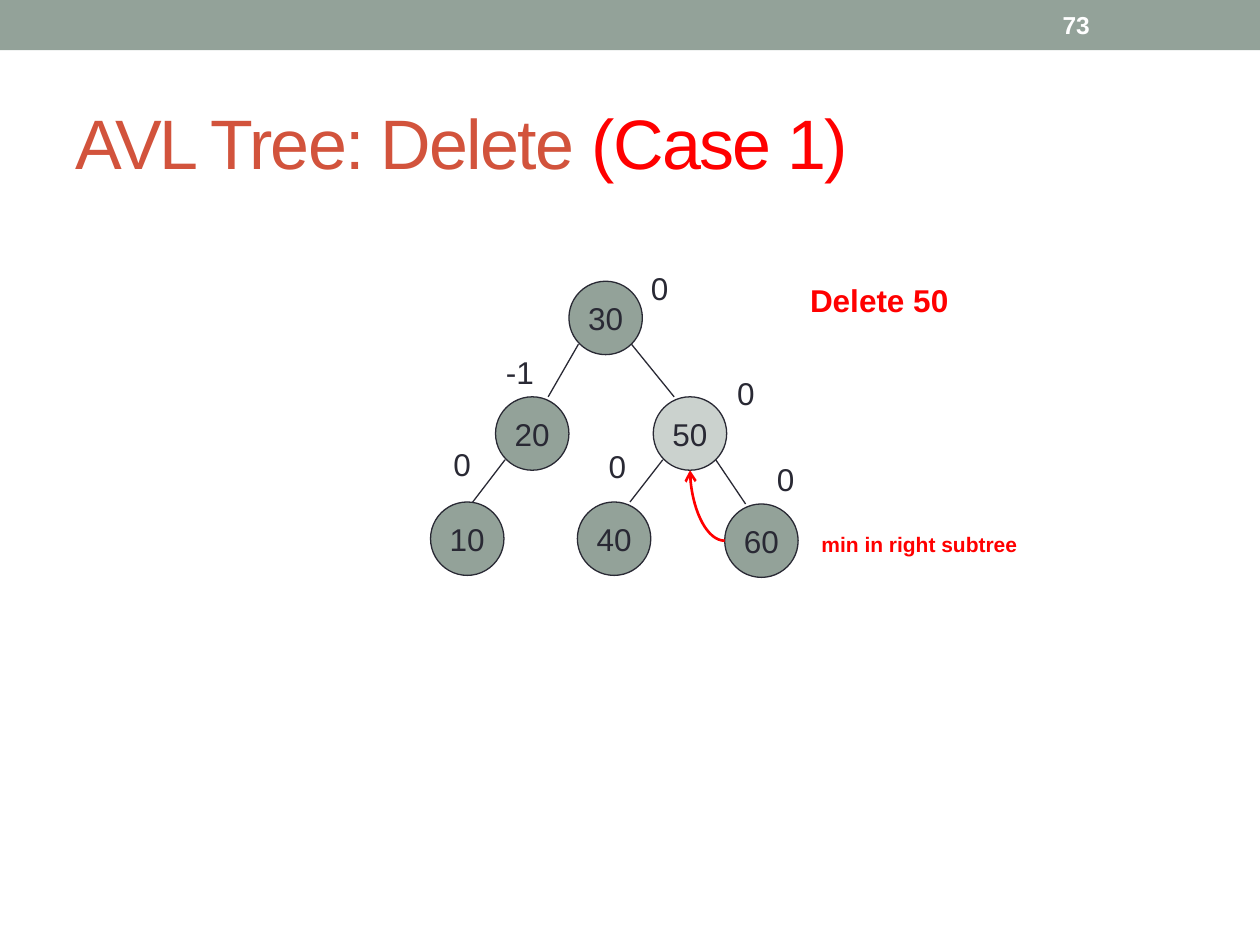
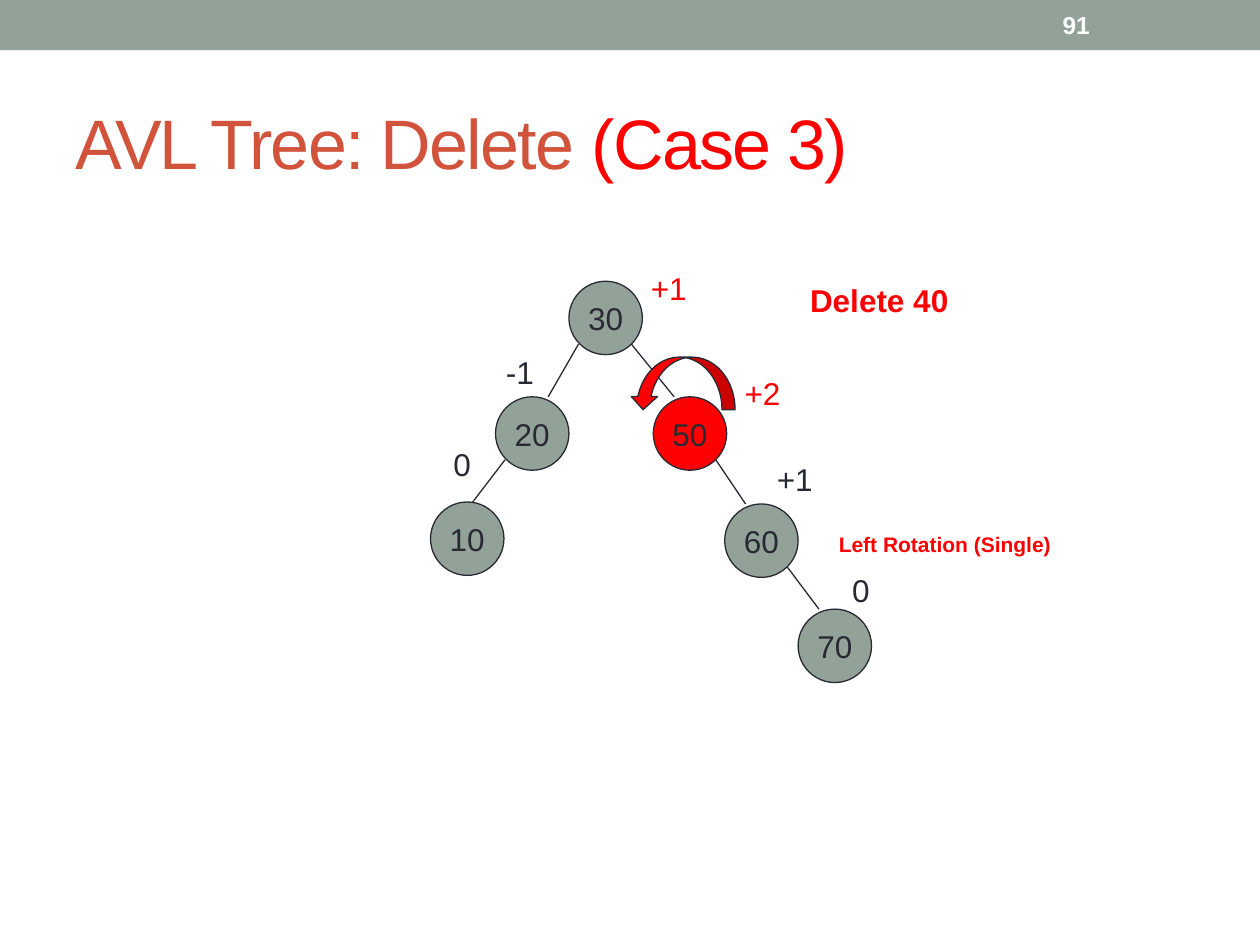
import pptx
import pptx.util
import pptx.dml.color
import pptx.enum.shapes
import pptx.enum.text
import pptx.oxml.ns
from lxml import etree

Cm = pptx.util.Cm
Pt = pptx.util.Pt
SHAPE = pptx.enum.shapes.MSO_SHAPE
CONNECTOR = pptx.enum.shapes.MSO_CONNECTOR
ANCHOR = pptx.enum.text.MSO_ANCHOR
qn = pptx.oxml.ns.qn

COLORS = {"sage": "93A299", "ink": "292934", "title": "D2533C",
          "red": "FF0000", "white": "FFFFFF"}
FONT = "Arial"

# Tree layout in cm: top left corners of nodes and of their balance labels
NODE_SIZE = 1.48
NODES = {30: (11.47, 5.67), 20: (9.99, 8.0), 50: (13.17, 8.0),
         10: (8.68, 10.12), 40: (11.64, 10.12), 60: (14.61, 10.16),
         70: (16.09, 12.28)}
LABELS = {30: (12.87, 5.29), 20: (9.95, 6.99), 50: (14.61, 7.41),
          10: (8.89, 8.85), 40: (12.02, 8.89), 60: (15.41, 9.14),
          70: (16.93, 11.39)}
LABEL_WIDTHS = {"0": 0.86, "-1": 1.09, "+1": 1.42, "+2": 1.42}
PARENTS = {20: 30, 50: 30, 10: 20, 40: 50, 60: 50, 70: 60}
EDGE_DROP = 1.27


def rgb(name):
    return pptx.dml.color.RGBColor.from_string(COLORS[name])


class Deck:
    """Holds the style and the slide being drawn."""

    def __init__(self):
        self.prs = pptx.Presentation()
        self.prs.slide_width, self.prs.slide_height = Cm(25.4), Cm(19.05)
        self.slide = None

    def new_slide(self, number, case):
        self.slide = self.prs.slides.add_slide(self.prs.slide_layouts[6])
        self.shape(SHAPE.RECTANGLE, 0, 0, 25.4, 1.01, "sage", line=None)
        self.title("AVL Tree: Delete ", f"({case})")
        self.text(str(number), 21.17, 0.05, 2.96, 0.91, 14, "white",
                  bold=True, anchor=ANCHOR.MIDDLE)

    def font(self, p, size, color=None, bold=False):
        p.font.name, p.font.size, p.font.bold = FONT, Pt(size), bold
        if color:
            p.font.color.rgb = rgb(color)

    def title(self, topic, case):
        sp = self.slide.shapes.add_textbox(Cm(1.27), Cm(1.48), Cm(22.86), Cm(2.75))
        tf = sp.text_frame
        tf.word_wrap, tf.vertical_anchor = True, ANCHOR.MIDDLE
        p = tf.paragraphs[0]
        self.font(p, 40)
        for part, color in ((topic, "title"), (case, "red")):
            r = p.add_run()
            r.text = part
            r.font.color.rgb = rgb(color)
            r.font._element.set("spc", "-100")

    def text(self, text, x, y, w, h, size, color, bold=False, wrap=True,
             anchor=ANCHOR.TOP):
        sp = self.slide.shapes.add_textbox(Cm(x), Cm(y), Cm(w), Cm(h))
        tf = sp.text_frame
        tf.word_wrap, tf.vertical_anchor = wrap, anchor
        if anchor == ANCHOR.TOP:
            tf.auto_size = pptx.enum.text.MSO_AUTO_SIZE.SHAPE_TO_FIT_TEXT
        p = tf.paragraphs[0]
        p.text = text
        self.font(p, size, color, bold)

    def shape(self, kind, x, y, w, h, fill, line="ink"):
        sp = self.slide.shapes.add_shape(kind, Cm(x), Cm(y), Cm(w), Cm(h))
        sp.shadow.inherit = False
        sp.fill.solid()
        sp.fill.fore_color.rgb = rgb(fill)
        if line:
            sp.line.color.rgb, sp.line.width = rgb(line), Pt(0.75)
        else:
            sp.line.fill.background()
        return sp

    def node(self, key, fill="sage", alpha=None):
        sp = self.shape(SHAPE.OVAL, *NODES[key], NODE_SIZE, NODE_SIZE, fill)
        if alpha:
            color = sp._element.spPr.find(qn("a:solidFill"))[0]
            etree.SubElement(color, qn("a:alpha"), val=str(alpha * 1000))
        tf = sp.text_frame
        tf.word_wrap, tf.vertical_anchor = False, ANCHOR.MIDDLE
        p = tf.paragraphs[0]
        p.text, p.alignment = str(key), pptx.enum.text.PP_ALIGN.CENTER
        self.font(p, 18, "ink")
        return sp

    def balance(self, key, text, color="ink", shift=0):
        x, y = LABELS[key]
        self.text(text, x + shift, y, LABEL_WIDTHS[text], 1.02, 18, color, wrap=False)

    def line(self, x1, y1, x2, y2, color="ink", width=0.75, kind=CONNECTOR.STRAIGHT):
        cxn = self.slide.shapes.add_connector(kind, Cm(x1), Cm(y1), Cm(x2), Cm(y2))
        cxn.line.color.rgb, cxn.line.width = rgb(color), Pt(width)
        etree.SubElement(cxn._element.spPr, qn("a:effectLst"))
        return cxn

    def edge(self, parent, child):
        (px, py), (cx, cy) = NODES[parent], NODES[child]
        if cx < px:
            start, end = 0.19, 0.85 if child == 10 else 1.06
        else:
            start, end = 1.26, 0.42
        self.line(px + start, py + EDGE_DROP, cx + end, cy)

    def replace_arrow(self, source, target, shapes):
        """Curved arrow from the left of source up to the bottom of target."""
        (sx, sy), (tx, ty) = NODES[source], NODES[target]
        half = NODE_SIZE / 2
        cxn = self.line(tx + half, ty + NODE_SIZE, sx, sy + half, "red", 1.5,
                        CONNECTOR.CURVE)
        spPr = cxn._element.spPr
        spPr.find(qn("a:xfrm")).set("rot", "10800000")
        spPr.find(qn("a:prstGeom")).set("prst", "curvedConnector2")
        etree.SubElement(spPr.find(qn("a:ln")), qn("a:tailEnd"), type="arrow")
        # Glue the ends: site 2 is the left of an ellipse, site 4 its bottom
        glue = next(cxn._element.iter(qn("p:cNvCxnSpPr")))
        for tag, key, site in (("a:stCxn", source, "2"), ("a:endCxn", target, "4")):
            etree.SubElement(glue, qn(tag), id=str(shapes[key].shape_id), idx=site)

    def rotation_arrow(self, x, y, w, h):
        sp = self.shape(SHAPE.CURVED_DOWN_ARROW, x, y, w, h, "red")
        sp._element.spPr.find(qn("a:xfrm")).set("flipH", "1")

    def tree(self, balances, marked):
        """Draw nodes, edges and balances; marked maps keys to node styles."""
        shapes = {key: self.node(key, **marked.get(key, {})) for key in balances}
        for child, parent in PARENTS.items():
            if child in balances:
                self.edge(parent, child)
        for key, label in balances.items():
            self.balance(key, *label)
        return shapes

    def action(self, text):
        self.text(text, 16.08, 5.54, 3.5, 1.02, 18, "red", bold=True, wrap=False)

    def remark(self, text, x, w):
        self.text(text, x, 10.59, w, 0.76, 12, "red", bold=True)


def main():
    deck = Deck()

    # Case 1: replace the deleted node by the minimum of its right subtree
    deck.new_slide(73, "Case 1")
    deck.action("Delete 50")
    shapes = deck.tree({30: ("0",), 20: ("-1",), 50: ("0",), 10: ("0",),
                        40: ("0",), 60: ("0",)}, {50: {"alpha": 48}})
    deck.replace_arrow(60, 50, shapes)
    deck.remark("min in right subtree", 16.31, 4.65)

    # Case 3: a single rotation; the +2 stands clear of the rotation arrow
    deck.new_slide(91, "Case 3")
    deck.action("Delete 40")
    deck.tree({30: ("+1", "red"), 20: ("-1",), 50: ("+2", "red", 0.15),
               10: ("0",), 60: ("+1",), 70: ("0",)}, {50: {"fill": "red"}})
    deck.remark("Left Rotation (Single)", 16.66, 4.83)
    deck.rotation_arrow(12.7, 7.2, 2.12, 1.06)

    deck.prs.save("out.pptx")


if __name__ == "__main__":
    main()
